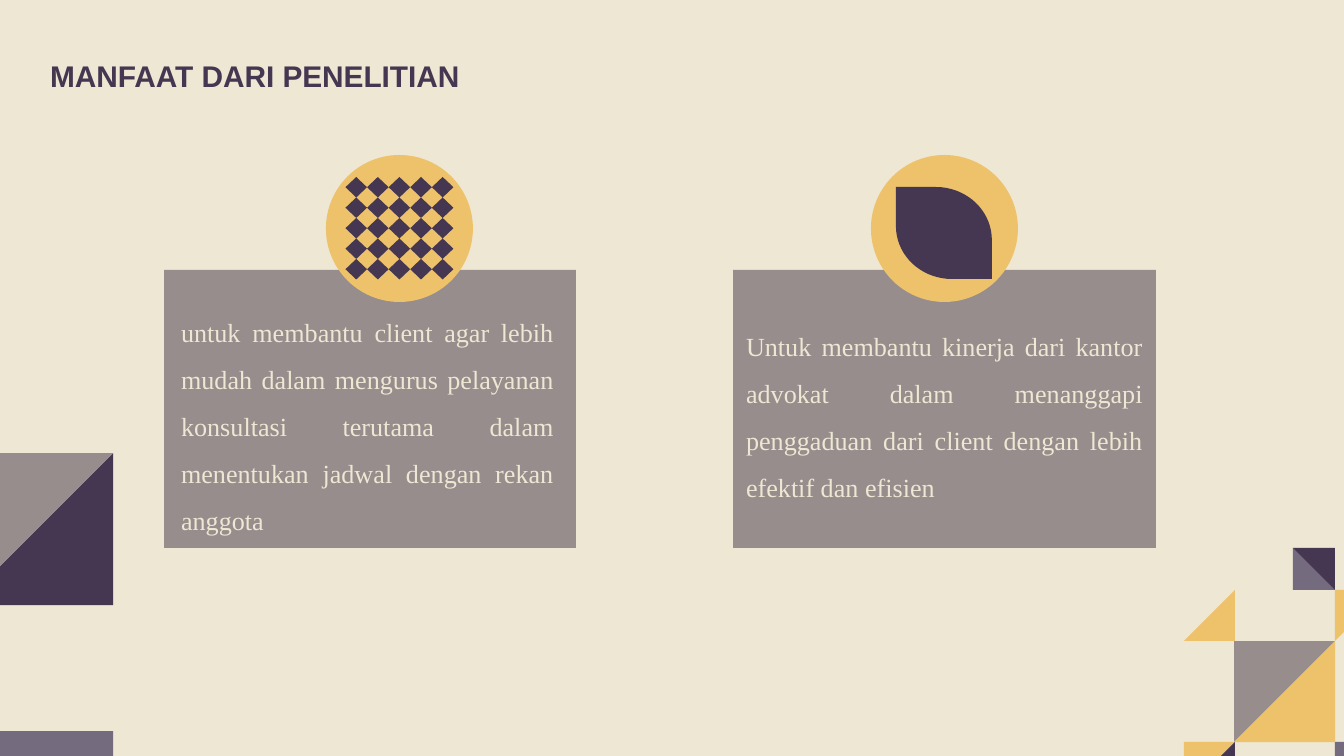
import math
from dataclasses import dataclass

import pptx
import pptx.dml.color
import pptx.enum.shapes
import pptx.enum.text
import pptx.util

PX = 6804  # EMU in one px, at 134.4 px to the inch
FORM = pptx.enum.shapes.MSO_SHAPE
ALIGN = pptx.enum.text.PP_ALIGN
MIDDLE = pptx.enum.text.MSO_ANCHOR.MIDDLE
RGB = pptx.dml.color.RGBColor.from_string


@dataclass
class Theme:
    cream: str = "EDE7D3"
    gray: str = "968D8C"
    gold: str = "EDC26B"
    plum: str = "453751"
    mauve: str = "756B7E"
    head: int = 16
    body: int = 14


theme = Theme()


def paint(shape, color):
    shape.fill.solid()
    shape.fill.fore_color.rgb = RGB(color)
    shape.line.fill.background()
    shape.shadow.inherit = False


def write(frame, text, *, font, size, color, align, bold=False, space=1.0, inset=7, anchor=None):
    frame.word_wrap = True
    frame.margin_left = frame.margin_right = 13 * PX
    frame.margin_top = frame.margin_bottom = inset * PX
    if anchor is not None:
        frame.vertical_anchor = anchor
    line = frame.paragraphs[0]
    line.alignment = align
    line.line_spacing = space
    run = line.add_run()
    run.text = text
    run.font.name = font
    run.font.size = pptx.util.Pt(size)
    run.font.bold = bold
    run.font.color.rgb = RGB(color)


deck = pptx.Presentation()
deck.slide_width = 1344 * PX
deck.slide_height = 756 * PX
slide = deck.slides.add_slide(deck.slide_layouts[6])
slide.background.fill.solid()
slide.background.fill.fore_color.rgb = RGB(theme.cream)
shapes = slide.shapes

# Title
title = shapes.add_textbox(5 * PX, 7 * PX, 500 * PX, 138 * PX)
write(title.text_frame, "MANFAAT DARI PENELITIAN", font="Arial", size=theme.head,
      color=theme.plum, align=ALIGN.CENTER, bold=True, inset=13, anchor=MIDDLE)

# Cards, each with a round badge on its top edge
cards = []
for left, wide, badge in [(164, 412, 326), (733, 423, 871)]:
    card = shapes.add_shape(FORM.RECTANGLE, left * PX, 270 * PX, wide * PX, 278 * PX)
    paint(card, theme.gray)
    disc = shapes.add_shape(FORM.OVAL, badge * PX, 155 * PX, 147 * PX, 147 * PX)
    paint(disc, theme.gold)
    cards.append(card)

body = dict(font="Times New Roman", size=theme.body, color=theme.cream,
            align=ALIGN.JUSTIFY, space=1.5)
note = shapes.add_textbox(168 * PX, 294 * PX, 399 * PX, 245 * PX)
write(note.text_frame, "untuk membantu client agar lebih mudah dalam mengurus pelayanan "
      "konsultasi terutama dalam menentukan jadwal dengan rekan anggota", **body)
write(cards[1].text_frame, "Untuk membantu kinerja dari kantor advokat dalam menanggapi "
      "penggaduan dari client dengan lebih efektif dan efisien",
      inset=13, anchor=MIDDLE, **body)

# Outlines: (parent, points, colour)
forms = []

# Five columns of five linked diamonds
weave = shapes.add_group_shape().shapes
for col in range(5):
    left, right = 345.5 + 21.6 * col, 345.5 + 21.6 * (col + 1)
    mid = (left + right) / 2
    rows = [177 + 10.25 * step for step in range(11)]
    down = [(left if step % 2 else mid, y) for step, y in enumerate(rows)]
    rise = [(right if step % 2 else mid, y) for step, y in enumerate(rows)]
    forms.append((weave, down + rise[-2:0:-1], theme.plum))

# Leaf: square at two corners, round at the other two
leaf = [(896, 187)]
for x, y, start in [(936, 240, -90), (952, 226, 90)]:
    if start == 90:
        leaf.append((992, 279))
    for turn in range(start, start + 91, 5):
        angle = math.radians(turn)
        leaf.append((x + 56 * math.cos(angle), y + 53 * math.sin(angle)))
forms.append((shapes, leaf, theme.plum))

# Half tiles: parent, left, top, side, index of the missing corner, colour
# Corners run clockwise from the top left
mosaic = shapes.add_group_shape().shapes
tiles = [
    (shapes, -39, 453, 152, 0, theme.plum),
    (shapes, -39, 453, 152, 2, theme.gray),
    (shapes, -39, 731, 152, 3, theme.mauve),
    (mosaic, 1234, 641, 101, 2, theme.gray),
    (mosaic, 1234, 641, 101, 0, theme.gold),
    (mosaic, 1335, 590, 51, 2, theme.gold),
    (mosaic, 1184, 590, 51, 0, theme.gold),
    (mosaic, 1335, 742, 51, 2, theme.mauve),
    (mosaic, 1293, 548, 42, 1, theme.mauve),
    (mosaic, 1293, 548, 42, 3, theme.plum),
    (mosaic, 1184, 742, 51, 2, theme.gold),
    (mosaic, 1184, 742, 51, 0, theme.plum),
]
for home, x, y, side, gap, color in tiles:
    square = [(x, y), (x + side, y), (x + side, y + side), (x, y + side)]
    forms.append((home, square[:gap] + square[gap + 1:], color))

for home, points, color in forms:
    first, *rest = [(round(x * PX), round(y * PX)) for x, y in points]
    pen = home.build_freeform(*first)
    pen.add_line_segments(rest, close=True)
    paint(pen.convert_to_shape(), color)

deck.save("out.pptx")
